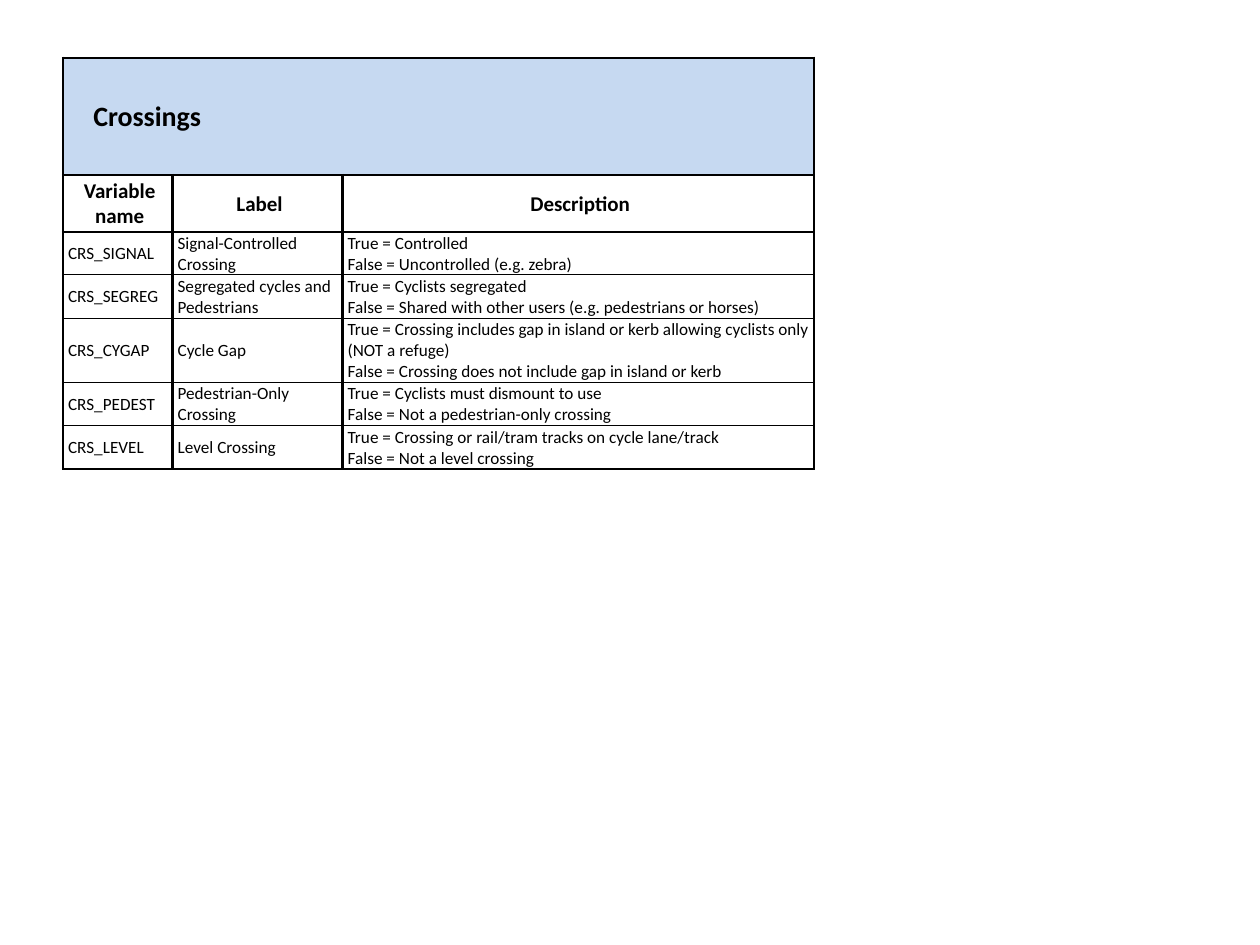
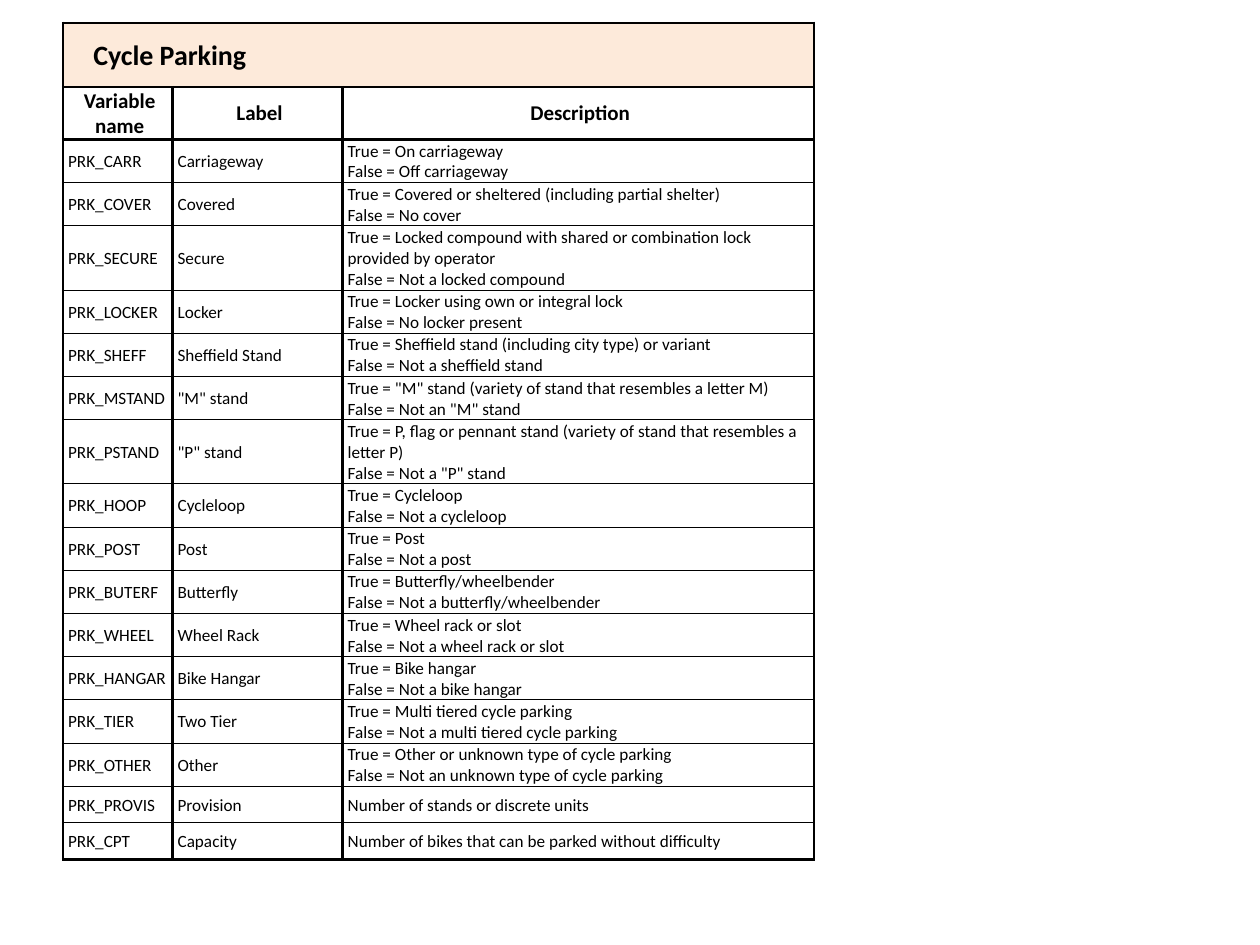
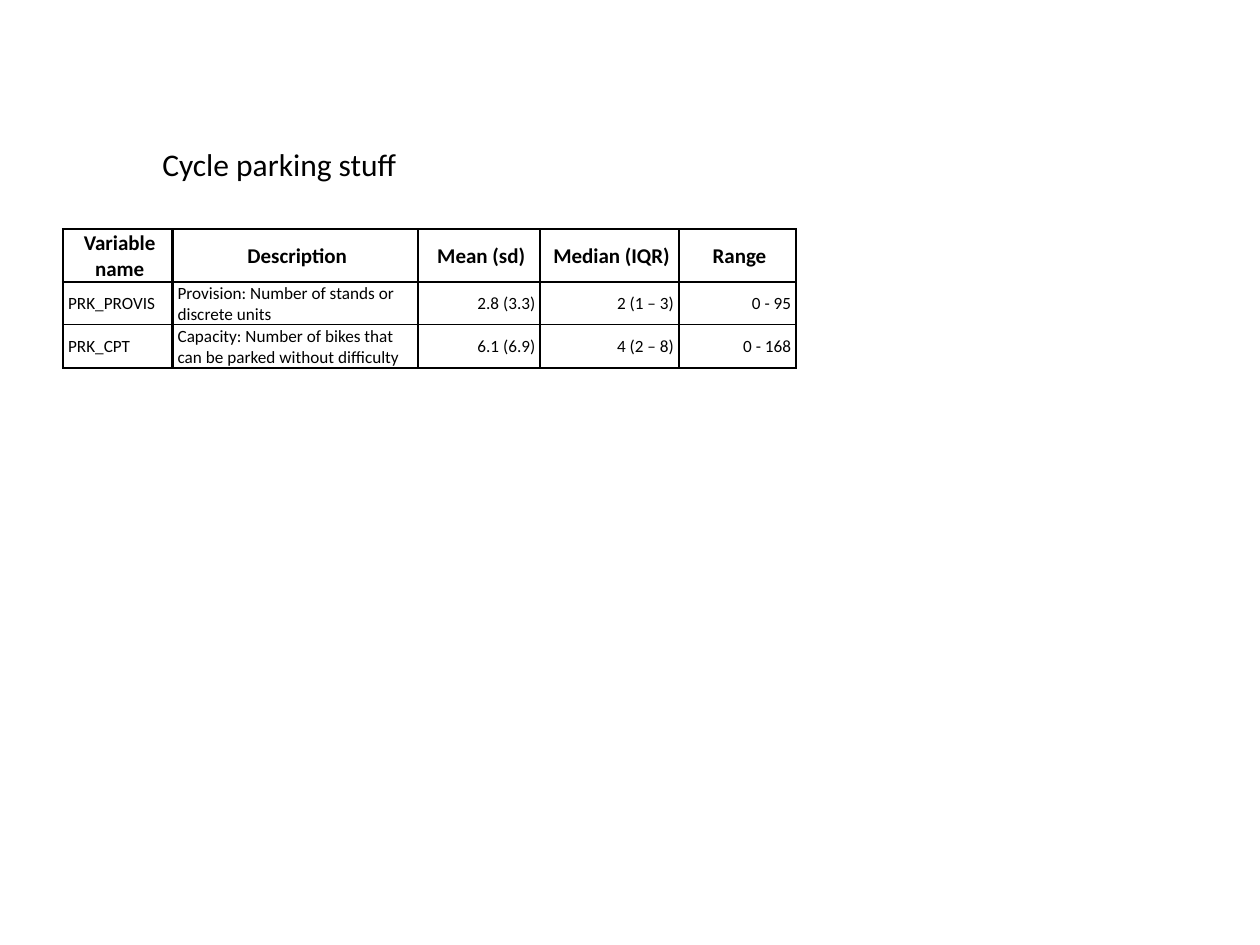
from lxml.etree import SubElement
from pptx import Presentation
from pptx.dml.color import RGBColor
from pptx.enum.text import MSO_ANCHOR as Anchor, MSO_AUTO_SIZE as Auto, PP_ALIGN as Align
from pptx.oxml.ns import qn
from pptx.util import Pt

BLACK = RGBColor(0, 0, 0)
WHITE = RGBColor(255, 255, 255)
BLUE = RGBColor(0xC6, 0xD9, 0xF1)
PEACH = RGBColor(0xFD, 0xEA, 0xDA)
FONT = "Calibri"
PLAIN = "{2D5ABB26-0587-4C30-8999-92F81FD0307C}"
LEFT = 36
THICK, THIN = 1.5, 0.5
ROW, TALL = 18, 20.9
NAME = 62.6
WIDE = [NAME, 97.2, 269.3]
HEADS = ["Variable name", "Label", "Description"]

CROSS = [
    ["CRS_SIGNAL", "Signal-Controlled Crossing",
     "True = Controlled\nFalse = Uncontrolled (e.g. zebra)"],
    ["CRS_SEGREG", "Segregated cycles and Pedestrians",
     "True = Cyclists segregated\n"
     "False = Shared with other users (e.g. pedestrians or horses)"],
    ["CRS_CYGAP", "Cycle Gap",
     "True = Crossing includes gap in island or kerb allowing cyclists only (NOT a refuge)\n"
     "False = Crossing does not include gap in island or kerb"],
    ["CRS_PEDEST", "Pedestrian-Only Crossing",
     "True = Cyclists must dismount to use\nFalse = Not a pedestrian-only crossing"],
    ["CRS_LEVEL", "Level Crossing",
     "True = Crossing or rail/tram tracks on cycle lane/track\nFalse = Not a level crossing"],
]
PARK = [
    ["PRK_CARR", "Carriageway", "True = On carriageway\nFalse = Off carriageway"],
    ["PRK_COVER", "Covered",
     "True = Covered or sheltered (including partial shelter)\nFalse = No cover"],
    ["PRK_SECURE", "Secure",
     "True = Locked compound with shared or combination lock provided by operator\n"
     "False = Not a locked compound"],
    ["PRK_LOCKER", "Locker",
     "True = Locker using own or integral lock\nFalse = No locker present"],
    ["PRK_SHEFF", "Sheffield Stand",
     "True = Sheffield stand (including city type) or variant\nFalse = Not a sheffield stand"],
    ["PRK_MSTAND", '"M" stand',
     'True = "M" stand (variety of stand that resembles a letter M)\nFalse = Not an "M" stand'],
    ["PRK_PSTAND", '"P" stand',
     "True = P, flag or pennant stand (variety of stand that resembles a letter P)\n"
     'False = Not a "P" stand'],
    ["PRK_HOOP", "Cycleloop", "True = Cycleloop\nFalse = Not a cycleloop"],
    ["PRK_POST", "Post", "True = Post\nFalse = Not a post"],
    ["PRK_BUTERF", "Butterfly",
     "True = Butterfly/wheelbender\nFalse = Not a butterfly/wheelbender"],
    ["PRK_WHEEL", "Wheel Rack",
     "True = Wheel rack or slot\nFalse = Not a wheel rack or slot"],
    ["PRK_HANGAR", "Bike Hangar", "True = Bike hangar\nFalse = Not a bike hangar"],
    ["PRK_TIER", "Two Tier",
     "True = Multi tiered cycle parking\nFalse = Not a multi tiered cycle parking"],
    ["PRK_OTHER", "Other",
     "True = Other or unknown type of cycle parking\n"
     "False = Not an unknown type of cycle parking"],
    ["PRK_PROVIS", "Provision", "Number of stands or discrete units"],
    ["PRK_CPT", "Capacity", "Number of bikes that can be parked without difficulty"],
]
STATS = [
    ["Variable name", "Description", "Mean (sd)", "Median (IQR)", "Range"],
    ["PRK_PROVIS", "Provision: Number of stands or discrete units",
     "2.8 (3.3)", "2 (1 – 3)", "0 - 95"],
    ["PRK_CPT", "Capacity: Number of bikes that can be parked without difficulty",
     "6.1 (6.9)", "4 (2 – 8)", "0 - 168"],
]


def write(frame, text, size=9.8, bold=False, align=Align.LEFT):
    for i, line in enumerate(text.split("\n")):
        para = frame.add_paragraph() if i else frame.paragraphs[0]
        para.alignment = align
        run = para.add_run()
        run.text = line
        run.font.name = FONT
        run.font.size = Pt(size)
        run.font.bold = bold
        run.font.color.rgb = BLACK


def edge(cell, **sides):
    props = cell._tc.get_or_add_tcPr()
    for side in "LRTB":
        width = sides.get(side, THICK)
        line = SubElement(props, qn(f"a:ln{side}"), w=str(Pt(width)))
        if width:
            fill = SubElement(line, qn("a:solidFill"))
            SubElement(fill, qn("a:srgbClr"), val=str(BLACK))
        else:
            SubElement(line, qn("a:noFill"))


def paint(cell, fill, inset=2.9, right=0.7):
    cell.fill.solid()
    cell.fill.fore_color.rgb = fill
    cell.vertical_anchor = Anchor.MIDDLE
    cell.margin_left, cell.margin_right = Pt(inset), Pt(right)
    cell.margin_top, cell.margin_bottom = Pt(0.7), 0


def grid(slide, top, widths, heights):
    frame = slide.shapes.add_table(len(heights), len(widths), Pt(LEFT), Pt(top),
                                   Pt(sum(widths)), Pt(sum(heights)))
    table = frame.table
    table._tbl.tblPr.find(qn("a:tableStyleId")).text = PLAIN
    table.first_row = table.horz_banding = False
    for col, width in zip(table.columns, widths):
        col.width = Pt(width)
    for row, height in zip(table.rows, heights):
        row.height = Pt(height)
    return table


def band(table, title, tint):
    cells = [table.cell(0, c) for c in range(3)]
    for c, cell in enumerate(cells):
        edge(cell, L=0 if c else THICK, R=THICK if c == 2 else 0)
        paint(cell, tint, inset=17.3)
    cells[0].merge(cells[1])
    write(cells[0].text_frame, title, size=16, bold=True)


def body(table, rows, start=0):
    last = len(rows) - 1
    for r, row in enumerate(rows):
        for c, text in enumerate(row):
            cell = table.cell(start + r, c)
            edge(cell, T=THICK if r < 2 else THIN, B=THICK if r in (0, last) else THIN)
            number = r > 0 and c > 1 and len(row) > 3
            paint(cell, WHITE, right=2.9 if number else 0.7)
            if r == 0:
                write(cell.text_frame, text, size=12, bold=True, align=Align.CENTER)
            else:
                write(cell.text_frame, text, align=Align.RIGHT if number else Align.LEFT)


def guide(slide, top, heights, title, tint, rows):
    table = grid(slide, top, WIDE, heights)
    band(table, title, tint)
    body(table, [HEADS] + rows, start=1)


def stats(slide, top):
    table = grid(slide, top, [NAME, 140.4, 69.8, 79.2, 67], [ROW, TALL, TALL])
    body(table, STATS)
    box = slide.shapes.add_textbox(Pt(LEFT + 49.7), Pt(top - 51.8), Pt(151.2), Pt(28.8))
    box.text_frame.word_wrap = False
    box.text_frame.auto_size = Auto.SHAPE_TO_FIT_TEXT
    write(box.text_frame, "Cycle parking stuff", size=18)


def main():
    deck = Presentation()
    deck.slide_width, deck.slide_height = Pt(720), Pt(540)
    one, two, three = [deck.slides.add_slide(deck.slide_layouts[6]) for _ in range(3)]
    guide(one, 33, [67, 32.4] + [ROW] * 5, "Crossings", BLUE, CROSS)
    guide(two, 13, [36.7] + [ROW] * 15 + [TALL] * 2, "Cycle Parking", PEACH, PARK)
    stats(three, 131)
    deck.save("out.pptx")


if __name__ == "__main__":
    main()
